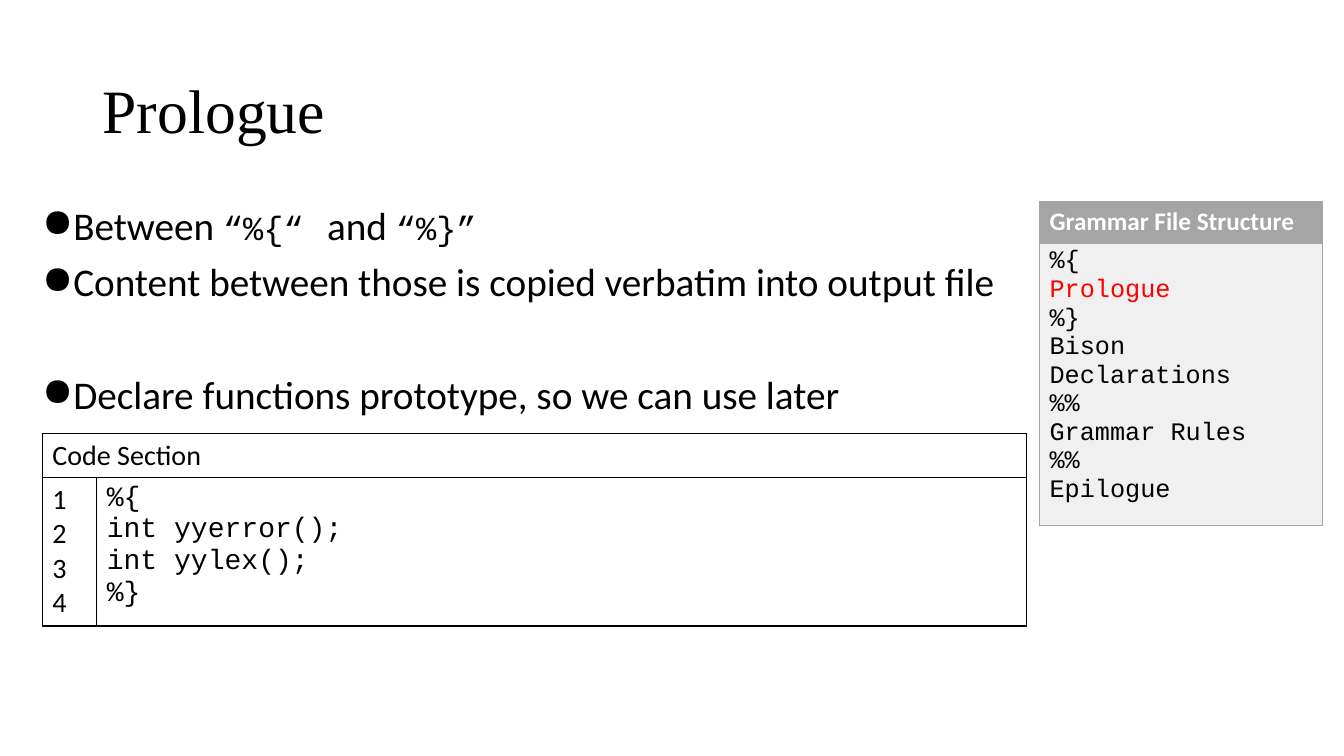
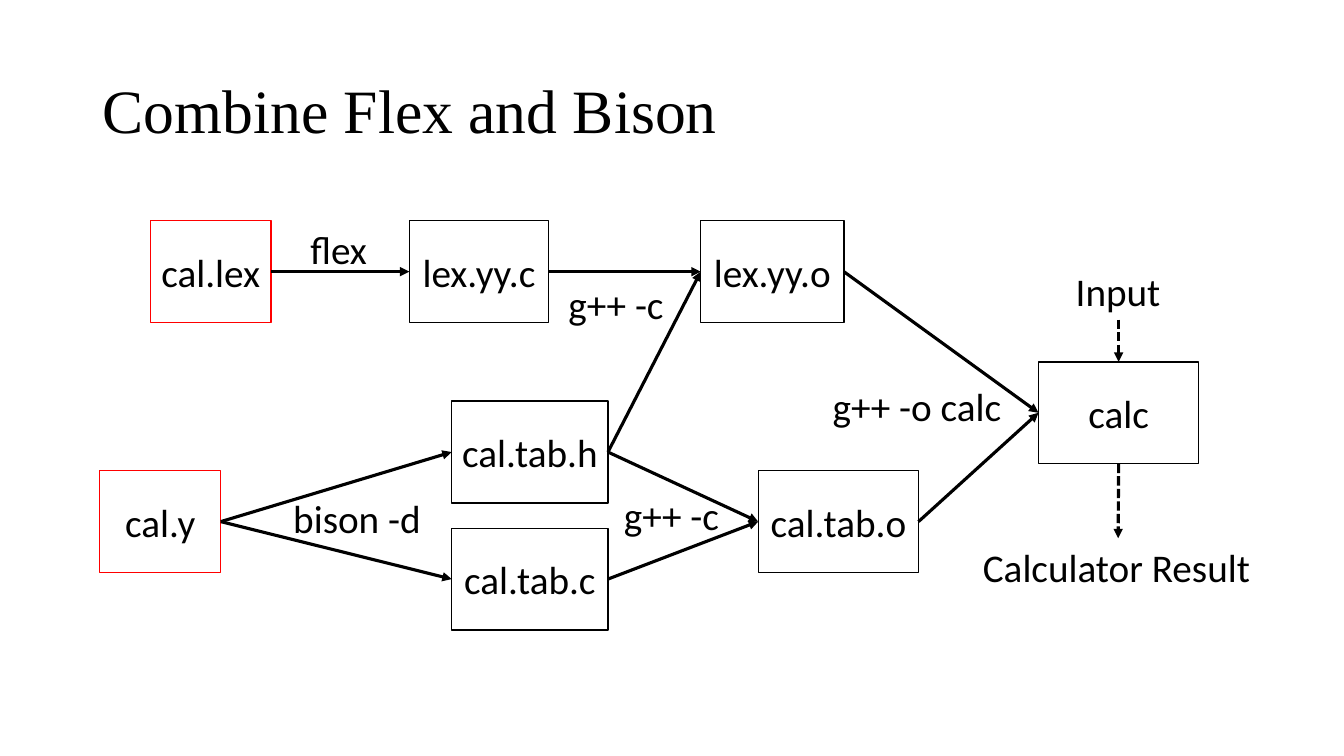
from dataclasses import dataclass

from lxml.etree import SubElement
from pptx import Presentation
from pptx.dml.color import RGBColor
from pptx.enum.dml import MSO_LINE
from pptx.enum.shapes import MSO_CONNECTOR, MSO_SHAPE
from pptx.enum.text import MSO_ANCHOR, MSO_AUTO_SIZE, PP_ALIGN
from pptx.oxml import parse_xml
from pptx.oxml.ns import nsdecls, qn
from pptx.util import Inches, Pt


@dataclass(frozen=True)
class Theme:
    ink: str = "000000"
    paper: str = "FFFFFF"
    accent: str = "FF0000"
    gray: str = "A5A5A5"
    pale: str = "F0F0F0"
    body_font: str = "Calibri"
    code_font: str = "Courier New"
    title_font: str = "Times New Roman"
    title: int = 44
    body: int = 28
    inline_code: int = 24
    code: int = 20
    side: int = 18
    thin: float = 1
    thick: float = 2.25


T = Theme()
CODE = {"font": T.code_font}
INLINE = {"font": T.code_font, "size": T.inline_code}

# Each bullet: its runs, and the space before it in points
BULLETS = [
    ([("Between ", {}), ("“%{“", INLINE), (" ", CODE), ("and ", {}), ("“%}”", INLINE)], 0),
    (["Content between those is copied verbatim into output file"], 10),
    (["Declare functions prototype, so we can use later"], 50),
]
CODE_LINES = ["%{", "int yyerror();", "int yylex();", "%}"]
STRUCTURE = ["%{", "Prologue", "%}", "Bison Declarations", "%%",
             "Grammar Rules", "%%", "Epilogue"]
CURRENT_PART = "Prologue"

# Files: left, top, width
FILE_HEIGHT = 1.01
FILES = {
    "cal.lex": (1.49, 2.19, 1.2),
    "lex.yy.c": (4.06, 2.19, 1.38),
    "lex.yy.o": (6.95, 2.19, 1.42),
    "cal.y": (0.99, 4.67, 1.2),
    "cal.tab.h": (4.48, 3.98, 1.55),
    "cal.tab.c": (4.48, 5.24, 1.55),
    "cal.tab.o": (7.52, 4.67, 1.59),
    "calc": (10.3, 3.59, 1.59),
}
SOURCES = {"cal.lex", "cal.y"}
LABEL_HEIGHT = 0.57
COMMANDS = [
    ("flex", 2.98, 2.19, 0.77), ("g++ -c", 5.54, 2.73, 1.16),
    ("bison -d", 2.81, 4.85, 1.48), ("g++ -c", 6.09, 4.83, 1.16),
    ("g++ -o calc", 8.16, 3.74, 1.9),
]
DATA = {"Input": (10.57, 2.6, 1.05), "Calculator Result": (9.65, 5.34, 2.88)}
BUILD_STEPS = [
    ("cal.lex", "lex.yy.c"), ("lex.yy.c", "lex.yy.o"),
    ("cal.y", "cal.tab.h"), ("cal.y", "cal.tab.c"),
    ("cal.tab.h", "lex.yy.o"), ("cal.tab.h", "cal.tab.o"),
    ("cal.tab.c", "cal.tab.o"),
    ("lex.yy.o", "calc"), ("cal.tab.o", "calc"),
]
DATA_FLOW = [("Input", "calc"), ("calc", "Calculator Result")]
TOP, LEFT, BOTTOM, RIGHT = range(4)


def rgb(color):
    return RGBColor.from_string(color)


def inches(*lengths):
    return [Inches(length) for length in lengths]


def write(paragraph, text, font=T.body_font, size=T.body, color=T.ink, bold=False):
    run = paragraph.add_run()
    run.text = text
    run.font.name, run.font.size, run.font.bold = font, Pt(size), bold
    run.font.color.rgb = rgb(color)


def write_lines(frame, lines, highlight=None, **style):
    for index, line in enumerate(lines):
        paragraph = frame.add_paragraph() if index else frame.paragraphs[0]
        write(paragraph, line, **(style | ({"color": T.accent} if line == highlight else {})))


def add_title(slide, text):
    frame = slide.shapes.add_textbox(*inches(0.92, 0.4, 11.5, 1.45)).text_frame
    frame.word_wrap = True
    frame.vertical_anchor = MSO_ANCHOR.MIDDLE
    frame.paragraphs[0].line_spacing = 0.9
    write(frame.paragraphs[0], text, font=T.title_font, size=T.title)


def add_bullets(slide, bullets):
    frame = slide.shapes.add_textbox(*inches(0.32, 2, 9.72, 2.25)).text_frame
    frame.word_wrap = True
    for index, (runs, gap) in enumerate(bullets):
        paragraph = frame.add_paragraph() if index else frame.paragraphs[0]
        paragraph.line_spacing, paragraph.space_before = 0.9, Pt(gap)
        properties = paragraph._p.get_or_add_pPr()
        properties.set("marL", str(Inches(0.25)))
        properties.set("indent", str(-Inches(0.25)))
        SubElement(properties, qn("a:buChar")).set("char", "●")
        for run in runs:
            text, style = (run, {}) if isinstance(run, str) else run
            write(paragraph, text, **style)


def add_grid(slide, left, top, widths, heights, border):
    """Add an unfilled table with a thin border around every cell."""
    table = slide.shapes.add_table(
        len(heights), len(widths),
        *inches(left, top, sum(widths), sum(heights))).table
    table.first_row = table.horz_banding = False
    for column, width in zip(table.columns, widths):
        column.width = Inches(width)
    for row, height in zip(table.rows, heights):
        row.height = Inches(height)
    for cell in table.iter_cells():
        cell.fill.background()
        properties = cell._tc.get_or_add_tcPr()
        for index, side in enumerate("LRTB"):
            properties.insert(index, parse_xml(
                f'<a:ln{side} {nsdecls("a")} w="{Pt(T.thin)}"><a:solidFill>'
                f'<a:srgbClr val="{border}"/></a:solidFill></a:ln{side}>'))
    return table


def add_code_table(slide):
    table = add_grid(slide, 0.42, 4.3, (0.54, 9.22), (0.44, 1.47), T.ink)
    table.cell(0, 0).merge(table.cell(0, 1))
    numbers = [str(number) for number, _ in enumerate(CODE_LINES, 1)]
    write_lines(table.cell(0, 0).text_frame, ["Code Section"], size=T.code)
    write_lines(table.cell(1, 0).text_frame, numbers, size=T.code)
    write_lines(table.cell(1, 1).text_frame, CODE_LINES, size=T.code, **CODE)


def add_structure_table(slide):
    table = add_grid(slide, 10.31, 2, (2.81,), (0.41, 2.65), T.gray)
    head, parts = table.iter_cells()
    for cell, fill in ((head, T.gray), (parts, T.pale)):
        cell.fill.solid()
        cell.fill.fore_color.rgb = rgb(fill)
    write_lines(head.text_frame, ["Grammar File Structure"],
                size=T.side, color=T.paper, bold=True)
    write_lines(parts.text_frame, STRUCTURE, highlight=CURRENT_PART, size=T.side, **CODE)


def add_file(slide, name, left, top, width):
    box = slide.shapes.add_shape(
        MSO_SHAPE.RECTANGLE, *inches(left, top, width, FILE_HEIGHT))
    box.shadow.inherit = False
    box.fill.solid()
    box.fill.fore_color.rgb = rgb(T.paper)
    box.line.color.rgb = rgb(T.accent if name in SOURCES else T.ink)
    box.line.width = Pt(T.thin)
    frame = box.text_frame
    frame.word_wrap = False
    frame.vertical_anchor = MSO_ANCHOR.MIDDLE
    frame.paragraphs[0].alignment = PP_ALIGN.CENTER
    write(frame.paragraphs[0], name)
    return box


def add_label(slide, text, left, top, width):
    label = slide.shapes.add_textbox(*inches(left, top, width, LABEL_HEIGHT))
    label.text_frame.word_wrap = False
    label.text_frame.auto_size = MSO_AUTO_SIZE.SHAPE_TO_FIT_TEXT
    write(label.text_frame.paragraphs[0], text)
    return label


def add_arrow(slide, start, start_side, end, end_side, dashed=False):
    arrow = slide.shapes.add_connector(MSO_CONNECTOR.STRAIGHT, 0, 0, 0, 0)
    arrow.begin_connect(start, start_side)
    arrow.end_connect(end, end_side)
    arrow.line.color.rgb = rgb(T.ink)
    arrow.line.width = Pt(T.thick)
    if dashed:
        arrow.line.dash_style = MSO_LINE.SQUARE_DOT
    SubElement(arrow.line._get_or_add_ln(), qn("a:tailEnd")).set("type", "triangle")
    SubElement(arrow._element.spPr, qn("a:effectLst"))


def build_prologue(slide):
    add_bullets(slide, BULLETS)
    add_code_table(slide)
    add_structure_table(slide)


def build_pipeline(slide):
    nodes = {name: add_file(slide, name, *place) for name, place in FILES.items()}
    nodes |= {name: add_label(slide, name, *place) for name, place in DATA.items()}
    for command in COMMANDS:
        add_label(slide, *command)
    for start, end in BUILD_STEPS:
        add_arrow(slide, nodes[start], RIGHT, nodes[end], LEFT)
    for start, end in DATA_FLOW:
        add_arrow(slide, nodes[start], BOTTOM, nodes[end], TOP, dashed=True)


SLIDES = [("Prologue", build_prologue), ("Combine Flex and Bison", build_pipeline)]


def main():
    deck = Presentation()
    deck.slide_width, deck.slide_height = inches(13.33, 7.5)
    for title, build in SLIDES:
        slide = deck.slides.add_slide(deck.slide_layouts[6])
        add_title(slide, title)
        build(slide)
    deck.save("out.pptx")


if __name__ == "__main__":
    main()
